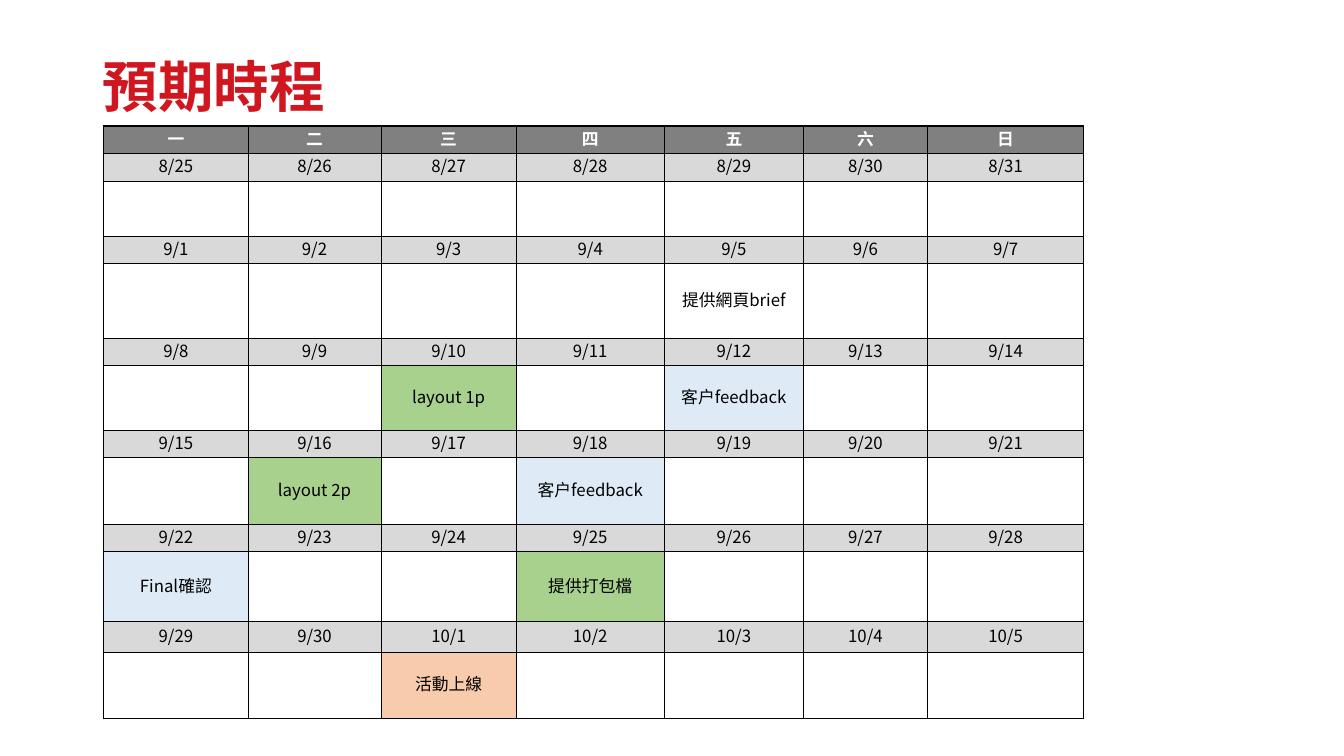
import pptx
import pptx.dml.color
import pptx.enum.text
import pptx.oxml.ns
import pptx.util
from lxml import etree

RGBColor = pptx.dml.color.RGBColor
Inches = pptx.util.Inches
Pt = pptx.util.Pt
MIDDLE = pptx.enum.text.MSO_ANCHOR.MIDDLE
ALIGN = pptx.enum.text.PP_ALIGN
qn = pptx.oxml.ns.qn

FONT = "Noto Sans CJK TC"
RED = RGBColor(0xD0, 0x16, 0x1F)
BLACK = RGBColor(0, 0, 0)
WHITE = RGBColor(0xFF, 0xFF, 0xFF)
HEADER_GRAY = RGBColor(0x80, 0x80, 0x80)
DATE_GRAY = RGBColor(0xD9, 0xD9, 0xD9)
GREEN = RGBColor(0xA9, 0xD1, 0x8E)
BLUE = RGBColor(0xDE, 0xEB, 0xF7)
ORANGE = RGBColor(0xF8, 0xCB, 0xAD)

WEEKDAYS = "一二三四五六日"
DATES = ([f"8/{d}" for d in range(25, 32)]
         + [f"9/{d}" for d in range(1, 31)]
         + [f"10/{d}" for d in range(1, 6)])
EVENTS = {
    "9/5": ("提供網頁brief", WHITE),
    "9/10": ("layout 1p", GREEN),
    "9/12": ("客戶feedback", BLUE),
    "9/16": ("layout 2p", GREEN),
    "9/18": ("客戶feedback", BLUE),
    "9/22": ("Final確認", BLUE),
    "9/25": ("提供打包檔", GREEN),
    "10/1": ("活動上線", ORANGE),
}
COL_WIDTHS = [1.43, 1.32, 1.34, 1.47, 1.38, 1.23, 1.55]
ROW_HEIGHTS = [0.18, 0.17, 0.55, 0.17, 0.74, 0.17, 0.64,
               0.17, 0.66, 0.25, 0.69, 0.31, 0.65]


def format_paragraph(p, size, color, bold, align):
    p.alignment = align
    f = p.font
    f.name, f.size, f.bold = FONT, Pt(size), bold
    f.color.rgb = color
    # Chinese characters take the East Asian typeface.
    etree.SubElement(f._element, qn("a:ea"), typeface=FONT)


def add_title(slide, text, left, top, width, height):
    title = slide.shapes.title
    title.left, title.top = Inches(left), Inches(top)
    title.width, title.height = Inches(width), Inches(height)
    tf = title.text_frame
    tf.text = text
    tf.word_wrap = True
    tf.auto_size = pptx.enum.text.MSO_AUTO_SIZE.NONE
    tf.vertical_anchor = MIDDLE
    p = tf.paragraphs[0]
    p.line_spacing = 0.9
    format_paragraph(p, 39.6, RED, True, ALIGN.LEFT)


def set_borders(cell, left=0.5, right=0.5, top=0.5, bottom=0.5):
    """Draw black cell borders; widths are in points."""
    tcPr = cell._tc.get_or_add_tcPr()
    for side, width in zip("LRTB", (left, right, top, bottom)):
        ln = etree.SubElement(tcPr, qn(f"a:ln{side}"), w=str(Pt(width)))
        fill = etree.SubElement(ln, qn("a:solidFill"))
        etree.SubElement(fill, qn("a:srgbClr"), val=str(BLACK))


def fill_cell(cell, text, fill, color=BLACK, bold=False):
    cell.fill.solid()
    cell.fill.fore_color.rgb = fill
    cell.vertical_anchor = MIDDLE
    cell.margin_left = cell.margin_right = cell.margin_top = 0
    cell.margin_bottom = Inches(0.03)
    if text:
        cell.text = text
        format_paragraph(cell.text_frame.paragraphs[0], 12, color, bold,
                         ALIGN.CENTER)


def add_calendar(slide, left, top, width, height):
    """Weekday header, then a date row and an event row for each week."""
    n_rows, n_cols = len(ROW_HEIGHTS), len(COL_WIDTHS)
    frame = slide.shapes.add_table(n_rows, n_cols, Inches(left), Inches(top),
                                   Inches(width), Inches(height))
    table = frame.table
    table.first_row = table.horz_banding = False
    for column, w in zip(table.columns, COL_WIDTHS):
        column.width = Inches(w)
    for row, h in zip(table.rows, ROW_HEIGHTS):
        row.height = Inches(h)
    frame.height = Inches(height)

    for r in range(n_rows):
        for c in range(n_cols):
            set_borders(table.cell(r, c),
                        left=1 if c == 0 else 0.5,
                        right=1 if c == n_cols - 1 else 0.5,
                        top=1 if r == 0 else 0.5)
    for c, weekday in enumerate(WEEKDAYS):
        fill_cell(table.cell(0, c), weekday, HEADER_GRAY, WHITE, True)
    for i, date in enumerate(DATES):
        week, c = divmod(i, n_cols)
        fill_cell(table.cell(2 * week + 1, c), date, DATE_GRAY)
        fill_cell(table.cell(2 * week + 2, c), *EVENTS.get(date, ("", WHITE)))


def main():
    prs = pptx.Presentation()
    prs.slide_width, prs.slide_height = Inches(13.33), Inches(7.5)
    slide = prs.slides.add_slide(prs.slide_layouts[5])
    add_title(slide, "預期時程", 0.92, 0.54, 6.3, 0.69)
    add_calendar(slide, 1.03, 1.25, 9.72, 5.68)
    prs.save("out.pptx")


if __name__ == "__main__":
    main()
